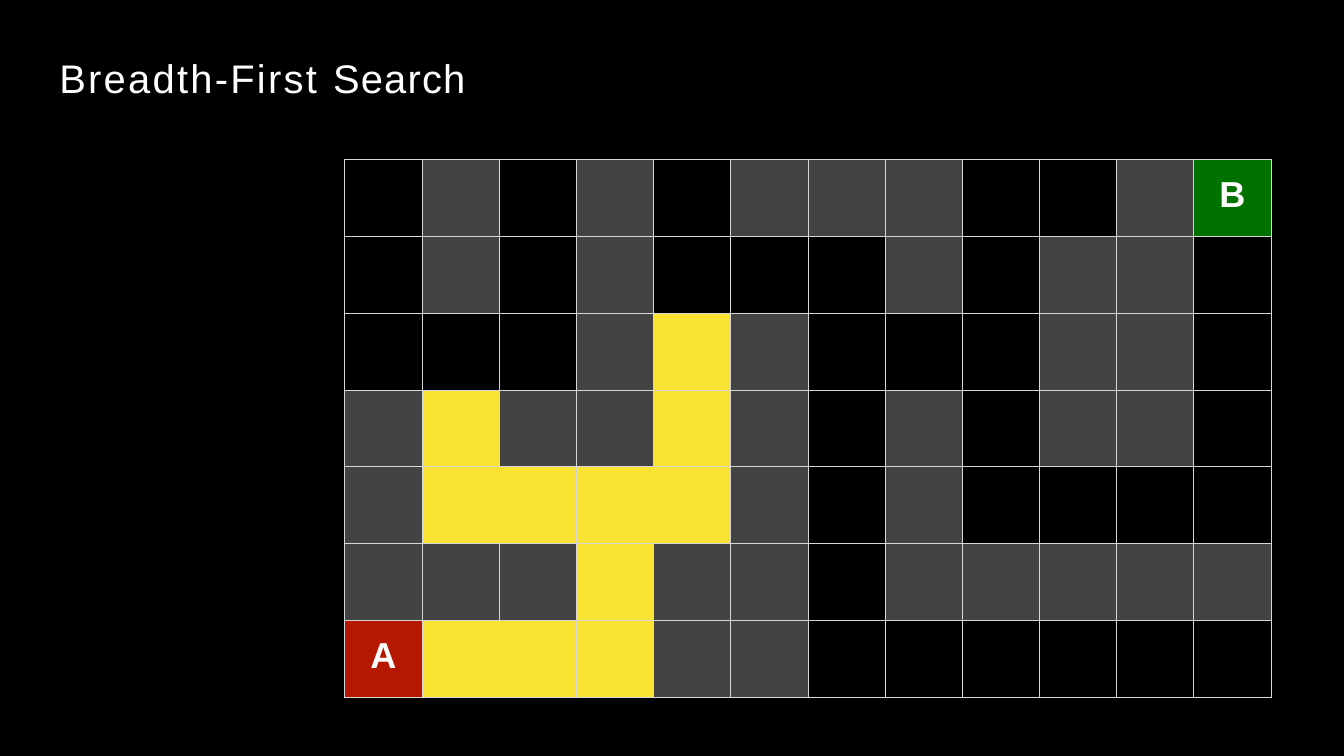
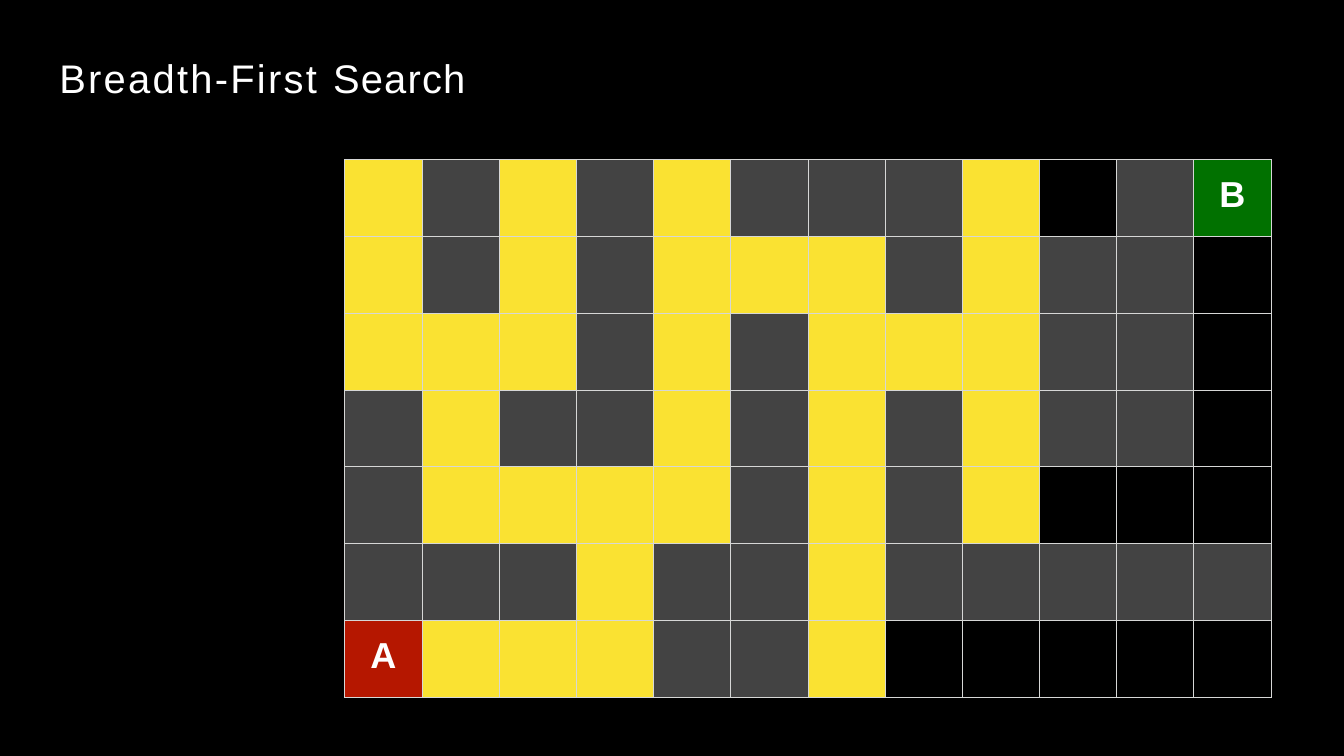
import collections

import pptx
import pptx.dml.color
import pptx.enum.text
import pptx.oxml
import pptx.oxml.ns
import pptx.util

Inches = pptx.util.Inches
Pt = pptx.util.Pt
RGBColor = pptx.dml.color.RGBColor

BLACK = RGBColor(0x00, 0x00, 0x00)
WHITE = RGBColor(0xFF, 0xFF, 0xFF)
WALL_GREY = RGBColor(0x43, 0x43, 0x43)
EXPLORED_YELLOW = RGBColor(0xFA, 0xE2, 0x32)
START_RED = RGBColor(0xB5, 0x17, 0x00)
GOAL_GREEN = RGBColor(0x01, 0x71, 0x00)
GRID_GREY = RGBColor(0xD6, 0xD7, 0xD6)

CELL_COLORS = {".": BLACK, "#": WALL_GREY, "A": START_RED, "B": GOAL_GREEN}
TITLE_FONT = {"name": "Arial", "size": Pt(47)}
LETTER_FONT = {"name": "Arial", "size": Pt(42.5), "bold": True}

# Title runs with their letter spacing in hundredths of a point
TITLE_RUNS = [("Breadth-First ", 270), ("Search", 140)]

MAZE = [
    ".#.#.###..#B",
    ".#.#...#.##.",
    "...#.#...##.",
    "#.##.#.#.##.",
    "#....#.#....",
    "###.##.#####",
    "A...##......",
]
ROWS, COLS = len(MAZE), len(MAZE[0])
START = (ROWS - 1, 0)

# Search depth reached on each slide
DEPTHS = [8, 16]


def write(paragraph, text, font_values):
    run = paragraph.add_run()
    run.text = text
    for name, value in font_values.items():
        setattr(run.font, name, value)
    run.font.color.rgb = WHITE
    return run


def add_borders(cell):
    properties = cell._tc.get_or_add_tcPr()
    for side in ("lnL", "lnR", "lnT", "lnB"):
        properties.append(pptx.oxml.parse_xml(
            f'<a:{side} {pptx.oxml.ns.nsdecls("a")} w="{Pt(1)}"><a:solidFill>'
            f'<a:srgbClr val="{GRID_GREY}"/></a:solidFill></a:{side}>'))


# Breadth-first search from A gives each open cell its distance in steps
distance = {START: 0}
frontier = collections.deque([START])
while frontier:
    row, col = frontier.popleft()
    for near in ((row - 1, col), (row + 1, col), (row, col - 1), (row, col + 1)):
        inside = 0 <= near[0] < ROWS and 0 <= near[1] < COLS
        if inside and near not in distance and MAZE[near[0]][near[1]] != "#":
            distance[near] = distance[row, col] + 1
            frontier.append(near)

presentation = pptx.Presentation()
presentation.slide_width = Inches(21.99)
presentation.slide_height = Inches(12.37)
background = presentation.slide_master.background.fill
background.solid()
background.fore_color.rgb = BLACK

for depth in DEPTHS:
    slide = presentation.slides.add_slide(presentation.slide_layouts[6])

    maze = slide.shapes.add_table(
        ROWS, COLS, Inches(5.64), Inches(2.61), Inches(15.16), Inches(8.8)).table
    maze.first_row = False
    maze.horz_banding = False
    for row, symbols in enumerate(MAZE):
        for col, symbol in enumerate(symbols):
            cell = maze.cell(row, col)
            add_borders(cell)
            explored = symbol == "." and distance.get((row, col), depth + 1) <= depth
            cell.fill.solid()
            cell.fill.fore_color.rgb = EXPLORED_YELLOW if explored else CELL_COLORS[symbol]
            if symbol in "AB":
                cell.margin_left = cell.margin_right = cell.margin_bottom = 0
                cell.margin_top = Inches(0.26)
                letter = cell.text_frame.paragraphs[0]
                letter.alignment = pptx.enum.text.PP_ALIGN.CENTER
                write(letter, symbol, LETTER_FONT)

    title = slide.shapes.add_textbox(
        Inches(0.96), Inches(0.86), Inches(6.68), Inches(0.81)).text_frame
    title.word_wrap = True
    title.margin_left = title.margin_top = Inches(0.01)
    title.margin_right = title.margin_bottom = 0
    title.paragraphs[0].space_before = Pt(1)
    for text, spacing in TITLE_RUNS:
        run = write(title.paragraphs[0], text, TITLE_FONT)
        run._r.get_or_add_rPr().set("spc", str(spacing))

presentation.save("out.pptx")
